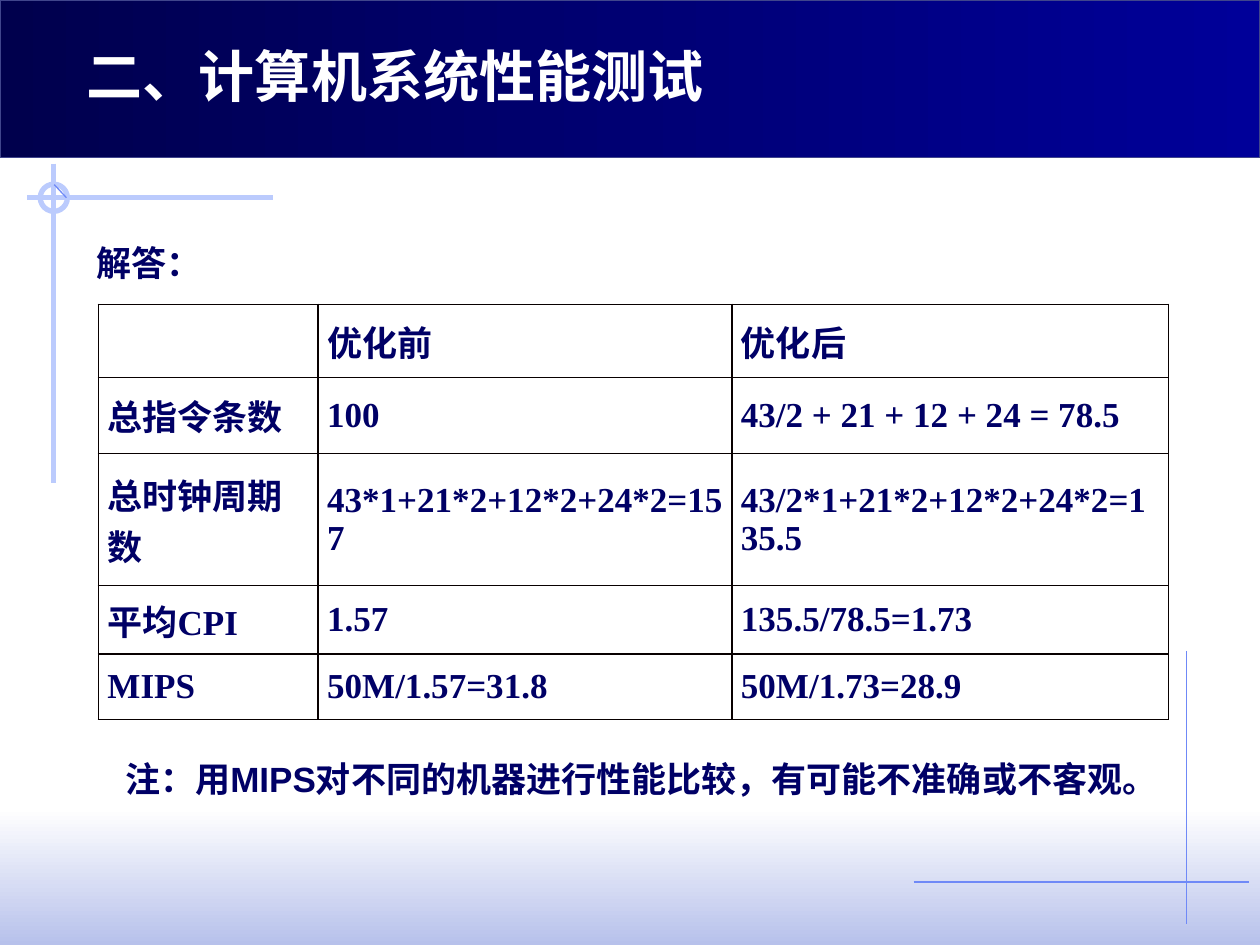
from lxml.etree import SubElement
from pptx import Presentation
from pptx.dml.color import RGBColor
from pptx.enum.lang import MSO_LANGUAGE_ID
from pptx.enum.shapes import MSO_CONNECTOR, MSO_SHAPE
from pptx.enum.text import MSO_ANCHOR, PP_ALIGN
from pptx.oxml.ns import qn
from pptx.util import Pt

NAVY, WHITE, PALE, BLUE = "000066", "FFFFFF", "BBCBFD", "6F89F7"
SANS, SERIF, HAN = "Arial", "Times New Roman", "Noto Sans CJK SC"


def color(code):
    return RGBColor.from_string(code)


def box(*sides):
    return [Pt(side) for side in sides]


class Deck:
    def __init__(self, wide, high):
        self.prs = Presentation()
        self.prs.slide_width, self.prs.slide_height = Pt(wide), Pt(high)
        self.slide = self.prs.slides.add_slide(self.prs.slide_layouts[5])
        self.shapes = self.slide.shapes

    def run(self, para, text, font=SANS, size=20, ink=NAVY, han=HAN):
        run = para.add_run()
        run.text = text
        style = run.font
        style.name, style.size, style.bold = font, Pt(size), True
        style.color.rgb = color(ink)
        style.language_id = MSO_LANGUAGE_ID.SIMPLIFIED_CHINESE
        SubElement(run._r.get_or_add_rPr(), qn("a:ea"), typeface=han)

    def title(self, text, *place):
        title = self.shapes.title
        title.left, title.top, title.width, title.height = box(*place)
        # Bring the title in front of the banner
        self.shapes._spTree.append(title._element)
        frame = title.text_frame
        frame.vertical_anchor = MSO_ANCHOR.MIDDLE
        para = frame.paragraphs[0]
        para.alignment = PP_ALIGN.LEFT
        font = "Noto Sans CJK JP"
        self.run(para, text, font, 32, WHITE, font)

    def text(self, text, *place, inset=7.2):
        frame = self.shapes.add_textbox(*box(*place)).text_frame
        frame.word_wrap = True
        frame.margin_left = Pt(inset)
        para = frame.paragraphs[0]
        para.line_spacing = 1.5
        self.run(para, text)

    def shape(self, kind, *place):
        shape = self.shapes.add_shape(kind, *box(*place))
        shape.shadow.inherit = False
        return shape

    def fade(self, start, end, angle, *place, edge=None):
        shape = self.shape(MSO_SHAPE.RECTANGLE, *place)
        shape.fill.gradient()
        shape.fill.gradient_angle = angle
        for stop, code in zip(shape.fill.gradient_stops, (start, end)):
            stop.color.rgb = color(code)
        if edge:
            self.stroke(shape, edge, 0.75)
        else:
            shape.line.fill.background()

    def ring(self, *place):
        ring = self.shape(MSO_SHAPE.OVAL, *place)
        ring.fill.background()
        self.stroke(ring, PALE, 3)

    def stroke(self, shape, code, width):
        shape.line.color.rgb = color(code)
        shape.line.width = Pt(width)

    def line(self, code, width, *ends):
        line = self.shapes.add_connector(MSO_CONNECTOR.STRAIGHT, *box(*ends))
        self.stroke(line, code, width)
        SubElement(line._element.spPr, qn("a:effectLst"))

    def border(self, cell, code, width):
        props = cell._tc.get_or_add_tcPr()
        for side in ("lnL", "lnR", "lnT", "lnB"):
            edge = SubElement(props, qn("a:" + side), w=str(Pt(width)))
            fill = SubElement(edge, qn("a:solidFill"))
            SubElement(fill, qn("a:srgbClr"), val=code)

    def table(self, rows, left, top, wides, highs):
        table = self.shapes.add_table(
            len(highs), len(wides),
            *box(left, top, sum(wides), sum(highs))).table
        table.first_row = table.horz_banding = False
        for col, wide in zip(table.columns, wides):
            col.width = Pt(wide)
        for row, high, texts in zip(table.rows, highs, rows):
            row.height = Pt(high)
            for cell, runs in zip(row.cells, texts):
                self.border(cell, "080000", 1)
                cell.fill.background()
                cell.vertical_anchor = MSO_ANCHOR.MIDDLE
                cell.margin_left = cell.margin_right = Pt(5.2)
                cell.margin_top = cell.margin_bottom = 0
                para = cell.text_frame.paragraphs[0]
                for text in runs:
                    self.run(para, text, SERIF if text.isascii() else HAN)


def main():
    deck = Deck(720, 540)

    # Bottom glow and top banner
    deck.fade(WHITE, "B7C1EB", 270, 0, 462, 720, 78)
    deck.fade("00004D", "000099", 0, 0, 0, 720, 90, edge="40458C")

    # Corner cross with ring
    deck.line(PALE, 3, 156, 113, 15.5, 113)
    deck.line(PALE, 3, 30.75, 93.5, 30.75, 276)
    deck.ring(23, 105.25, 15.5, 15.5)
    deck.line(BLUE, 0.75, 31, 105.5, 38, 113)

    # Thin lines at lower right
    deck.line(BLUE, 0.75, 678, 372, 678, 528)
    deck.line(BLUE, 0.75, 522, 504, 714, 504)

    # Title, lead and note
    deck.title("二、计算机系统性能测试", 42.5, 20, 572, 46)
    deck.text("解答：", 48, 122.5, 618.5, 57.5)
    deck.text("注：用MIPS对不同的机器进行性能比较，有可能不准确或不客观。",
              54, 417.5, 615, 57.5, inset=17.5)

    # Results before and after tuning
    rows = [
        [[], ["优化前"], ["优化后"]],
        [["总指令条数"], ["100"], ["43/2 + 21 + 12 + 24 = 78.5"]],
        [["总时钟周期数"], ["43*1+21*2+12*2+24*2=157"],
         ["43/2*1+21*2+12*2+24*2=135.5"]],
        [["平均", "CPI"], ["1.57"], ["135.5/78.5=1.73"]],
        [["MIPS"], ["50M/1.57=31.8"], ["50M/1.73=28.9"]],
    ]
    deck.table(rows, 56.25, 174, (125.5, 236.5, 249.5),
               (41.75, 43.5, 75.5, 39, 37.5))

    deck.prs.save("out.pptx")


if __name__ == "__main__":
    main()
